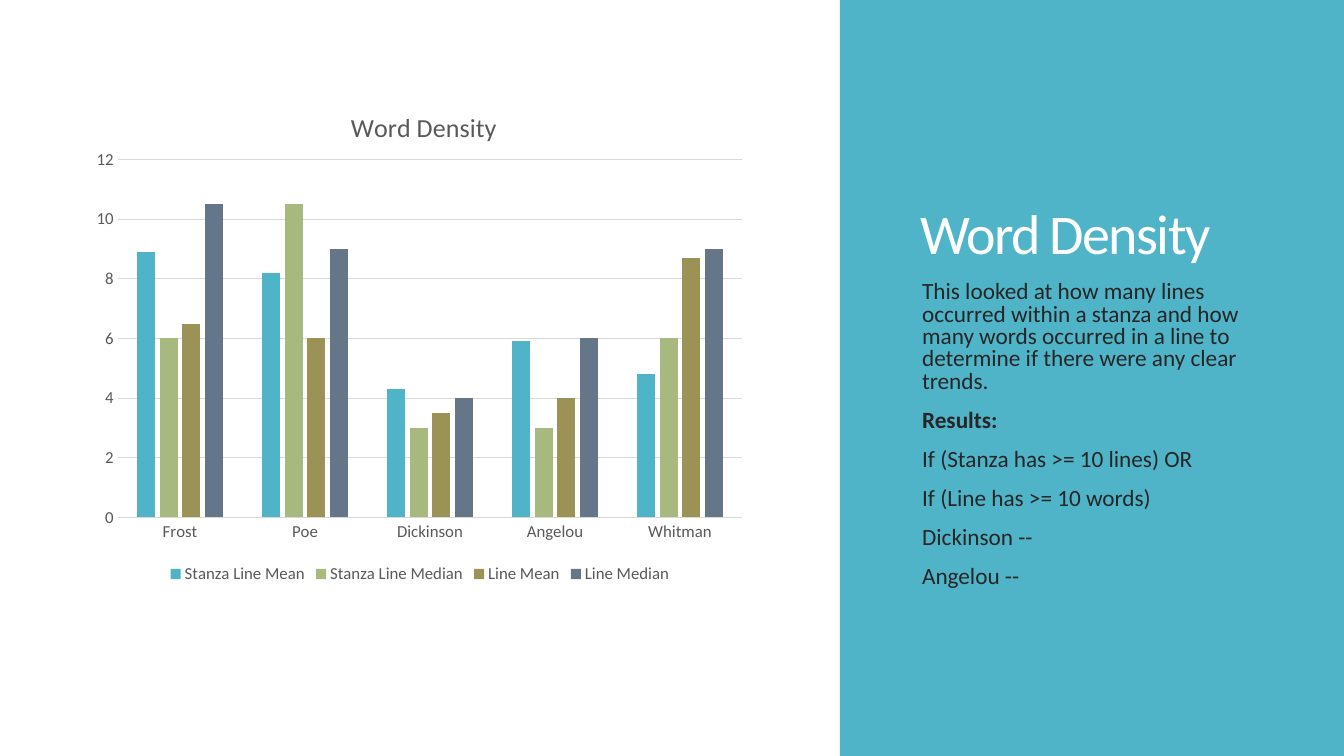
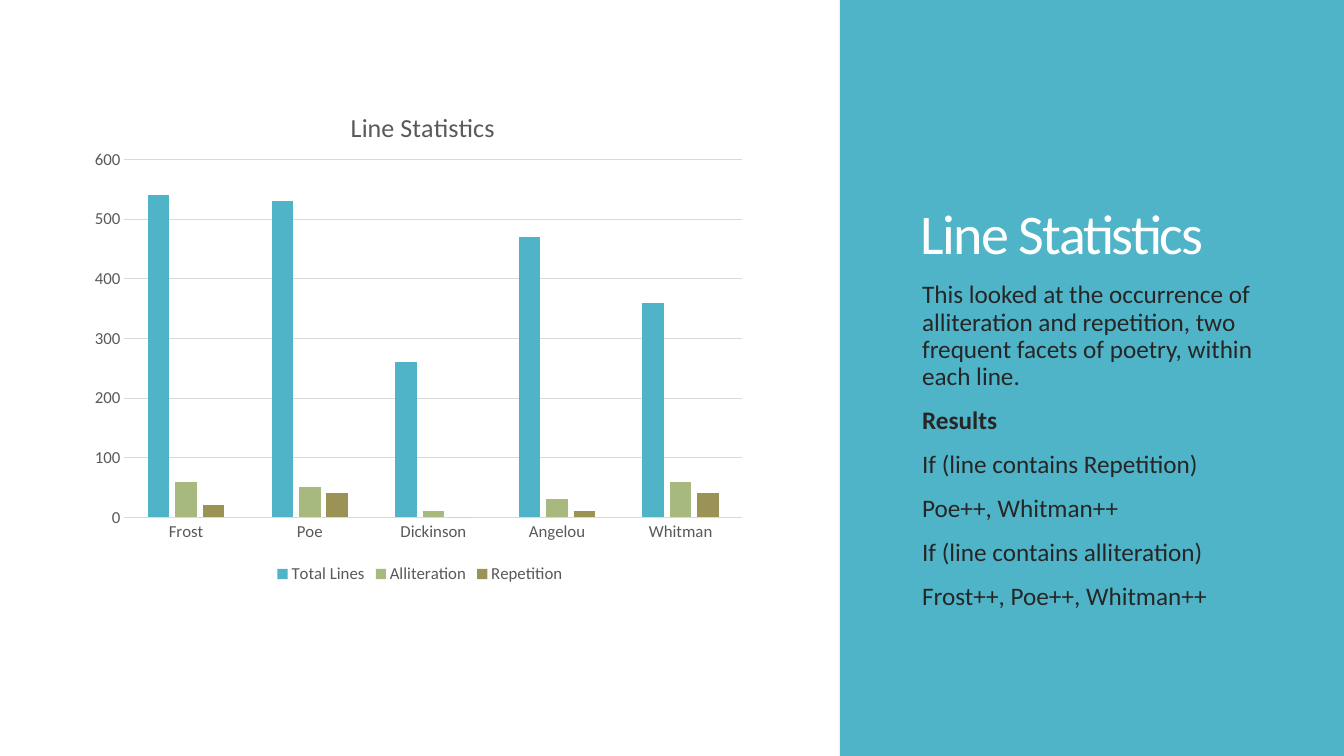
from dataclasses import dataclass

from pptx import Presentation
from pptx import util as u
from pptx.chart.data import CategoryChartData
from pptx.dml.color import RGBColor
from pptx.enum import chart as ch, shapes, text
from pptx.oxml import parse_xml
from pptx.oxml.ns import nsdecls, qn

COLS, ROWS = 16, 9
POETS = ("Frost", "Poe", "Dickinson", "Angelou", "Whitman")


@dataclass(frozen=True)
class Theme:
    """Colours, font and type sizes of the deck."""
    font: str = "Calibri"
    panel: str = "50B4C8"
    light: str = "FFFFFF"
    dark: str = "262626"
    label: str = "595959"
    rule: str = "D9D9D9"
    series: tuple[str, ...] = ("50B4C8", "A8B97F", "9B9256", "657689")
    title: float = 40
    head: float = 18.6
    small: float = 12


@dataclass(frozen=True)
class Box:
    """A place on the grid, in columns and rows."""
    col: float
    row: float
    wide: float
    high: float


@dataclass(frozen=True)
class Page:
    """A topic: its notes, their type, and its series of values."""
    title: str
    notes: tuple[str, ...]
    size: float
    lead: float
    inset: float
    data: dict[str, tuple[float, ...]]


THEME = Theme()
PANEL = Box(10, 0, 6, 9)
TITLE = Box(10.84, 0.71, 4.44, 2.52)
CHART = Box(1, 1, 8, 6)
NOTES = Box(10.86, 3.3, 4.46, 4.1)

PAGES = (
    Page(
        "Word Density",
        ("This looked at how many lines occurred within a stanza and how many "
         "words occurred in a line to determine if there were any clear trends.",
         "Results:", "If (Stanza has >= 10 lines) OR",
         "If (Line has >= 10 words)", "Dickinson --", "Angelou --"),
        16.6, 0.8, 0.05,
        {"Stanza Line Mean": (8.9, 8.2, 4.3, 5.9, 4.8),
         "Stanza Line Median": (6, 10.5, 3, 3, 6),
         "Line Mean": (6.5, 6, 3.5, 4, 8.7),
         "Line Median": (10.5, 9, 4, 6, 9)},
    ),
    Page(
        "Line Statistics",
        ("This looked at the occurrence of alliteration and repetition, two "
         "frequent facets of poetry, within each line.",
         "Results", "If (line contains Repetition)", "Poe++, Whitman++",
         "If (line contains alliteration)", "Frost++, Poe++, Whitman++"),
        18, 0.9, 0.06,
        {"Total Lines": (540, 530, 260, 470, 360),
         "Alliteration": (60, 50, 10, 30, 60),
         "Repetition": (20, 40, 0, 10, 40)},
    ),
)


def place(deck, box: Box) -> tuple[int, int, int, int]:
    """Turn a grid box into left, top, width and height."""
    col, row = deck.slide_width / COLS, deck.slide_height / ROWS
    return (round(box.col * col), round(box.row * row),
            round(box.wide * col), round(box.high * row))


def style(font, size: float, color: str, bold: bool = False) -> None:
    """Set the theme font with a size, colour and weight."""
    font.name, font.size, font.bold = THEME.font, u.Pt(size), bold
    font.color.rgb = RGBColor.from_string(color)


def rule(line) -> None:
    """Draw a chart line as a thin grey rule."""
    line.color.rgb = RGBColor.from_string(THEME.rule)
    line.width = u.Pt(0.75)


def pin(node, index: int, target: str = "", **spots: float) -> None:
    """Fix a chart part at shares of the chart's size."""
    for old in node.findall(qn("c:layout")):
        node.remove(old)
    inner = f'<c:layoutTarget val="{target}"/>' if target else ""
    modes = "".join(f'<c:{key}Mode val="edge"/>' for key in "xy")
    sizes = "".join(f'<c:{key} val="{val:.2f}"/>' for key, val in spots.items())
    node.insert(index, parse_xml(
        f'<c:layout {nsdecls("c")}><c:manualLayout>{inner}{modes}{sizes}'
        "</c:manualLayout></c:layout>"))


def add_panel(deck, slide) -> None:
    """Put the coloured side panel behind everything."""
    panel = slide.shapes.add_shape(
        shapes.MSO_SHAPE.RECTANGLE, *place(deck, PANEL))
    panel.shadow.inherit = False
    panel.fill.solid()
    panel.fill.fore_color.rgb = RGBColor.from_string(THEME.panel)
    panel.line.fill.background()
    slide.shapes._spTree.insert(2, panel._element)


def add_title(deck, slide, words: str) -> None:
    """Move the title placeholder onto the panel and format it."""
    title = slide.shapes.title
    title.left, title.top, title.width, title.height = place(deck, TITLE)
    frame = title.text_frame
    frame.text = words
    frame.word_wrap = True
    frame.auto_size = text.MSO_AUTO_SIZE.NONE
    frame.vertical_anchor = text.MSO_ANCHOR.BOTTOM
    para = frame.paragraphs[0]
    para.alignment = text.PP_ALIGN.LEFT
    para.line_spacing = 0.85
    style(para.font, THEME.title, THEME.light)
    para._p.get_or_add_pPr().get_or_add_defRPr().set("spc", "-120")


def add_notes(deck, slide, page: Page) -> None:
    """Write the notes, with the results heading in bold."""
    frame = slide.shapes.add_textbox(*place(deck, NOTES)).text_frame
    frame.word_wrap = True
    frame.text = "\n".join(page.notes)
    for para in frame.paragraphs:
        para.line_spacing = page.lead
        para.space_before = u.Pt(12)
        style(para.font, page.size, THEME.dark,
              para.text.startswith("Results"))


def add_chart(deck, slide, page: Page) -> None:
    """Draw the clustered columns for every poet."""
    data = CategoryChartData()
    data.categories = POETS
    for name, vals in page.data.items():
        data.add_series(name, vals)
    chart = slide.shapes.add_chart(
        ch.XL_CHART_TYPE.COLUMN_CLUSTERED, *place(deck, CHART), data).chart
    style(chart.font, THEME.small, THEME.label)

    chart.has_title = True
    head = chart.chart_title
    head.text_frame.text = page.title
    style(head.text_frame.paragraphs[0].font, THEME.head, THEME.label)
    head.include_in_layout = False
    pin(head._element, 1, x=0.39, y=0.04)

    chart.has_legend = True
    chart.legend.position = ch.XL_LEGEND_POSITION.BOTTOM
    chart.legend.include_in_layout = False
    style(chart.legend.font, THEME.small, THEME.label)

    for axis in (chart.category_axis, chart.value_axis):
        axis.major_tick_mark = axis.minor_tick_mark = ch.XL_TICK_MARK.NONE
        style(axis.tick_labels.font, THEME.small, THEME.label)
    rule(chart.category_axis.format.line)
    chart.value_axis.format.line.fill.background()
    rule(chart.value_axis.major_gridlines.format.line)

    plot = chart.plots[0]
    plot.gap_width, plot.overlap = 219, -27
    plot.vary_by_categories = False
    for series, color in zip(plot.series, THEME.series):
        series.invert_if_negative = False
        series.format.fill.solid()
        series.format.fill.fore_color.rgb = RGBColor.from_string(color)
    pin(chart._chartSpace.chart.plotArea, 0, "inner",
        x=page.inset, y=0.155, w=0.98 - page.inset, h=0.706)


def main() -> None:
    """Build and save the deck."""
    deck = Presentation()
    deck.slide_width, deck.slide_height = u.Inches(13.33), u.Inches(7.5)
    for page in PAGES:
        slide = deck.slides.add_slide(deck.slide_layouts[5])
        add_panel(deck, slide)
        add_title(deck, slide, page.title)
        add_chart(deck, slide, page)
        add_notes(deck, slide, page)
    deck.save("out.pptx")


main()
